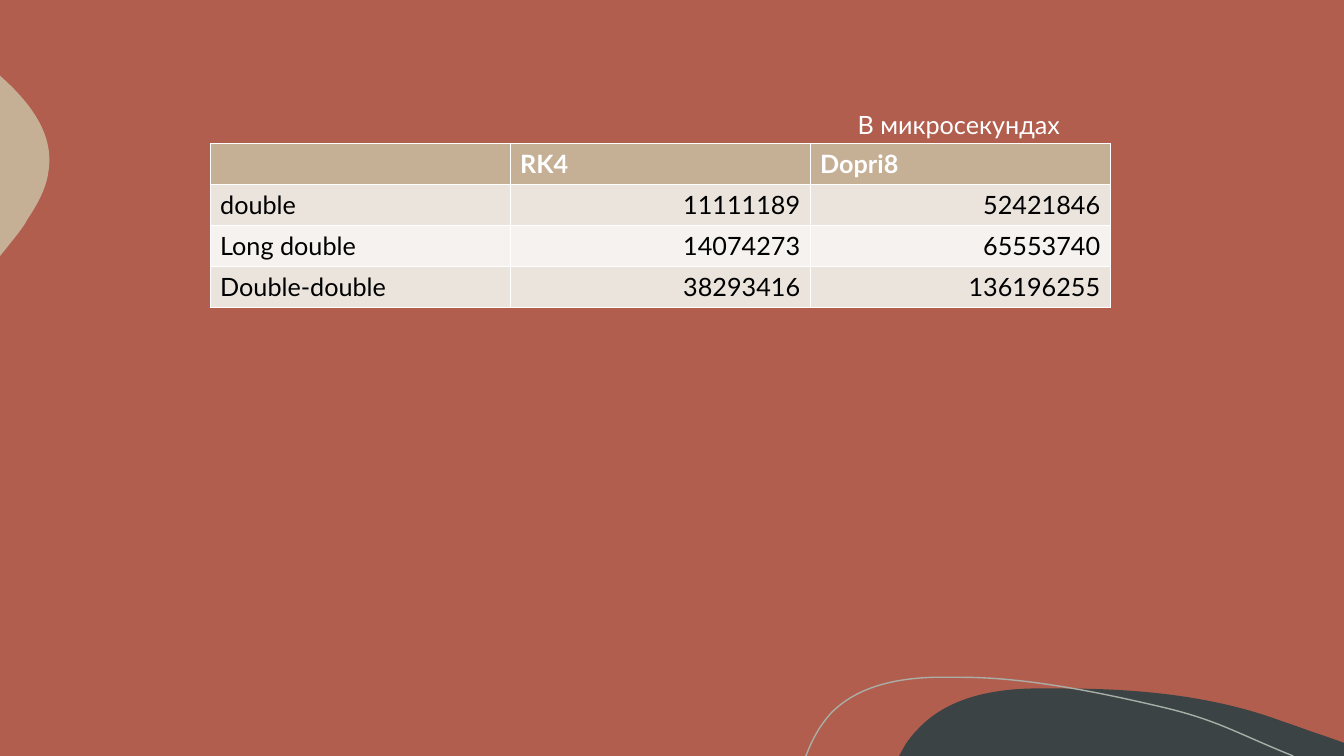
from dataclasses import dataclass
from typing import Optional

from lxml.etree import SubElement
from pptx import Presentation
from pptx.dml.color import RGBColor
from pptx.enum.text import PP_ALIGN as Align
from pptx.oxml.ns import qn
from pptx.util import Pt


@dataclass(frozen=True)
class Theme:
    background: str = "B15E4E"
    dark: str = "3B4345"
    sand: str = "C5B096"
    curve: str = "A9AEA7"
    white: str = "FFFFFF"
    black: str = "000000"
    bands: tuple = ("EAE4DD", "F5F2EF")
    font: str = "Lato"
    text_size: float = 18


@dataclass(frozen=True)
class Outline:
    start: tuple
    segments: tuple
    fill: Optional[str] = None
    line: Optional[str] = None


THEME = Theme()
TABLE_LEFT, TABLE_TOP = 150.1, 102.6
COLUMN_WIDTH, ROW_HEIGHT = 214.3, 29.2

DARK_HILL = Outline(
    (758.9, 491.8),
    (
        ((812.2, 491.8), (866.9, 496.8), (916.6, 515.5)),
        ((925.9, 518.4), (934.6, 522), (943.9, 524.9)),
        ((960, 530.6),),
        ((960, 540),),
        ((642.2, 540),),
        ((646.6, 532.1),),
        ((649.4, 527.8), (652.3, 524.2), (655.9, 520.6)),
        ((676.1, 499), (707, 492.5), (736.6, 491.8)),
        ((743.8, 491.8), (751, 491.8), (758.9, 491.8)),
    ),
    fill=THEME.dark,
)
SAND_BLOB = Outline(
    (0, 54),
    (
        ((0.7, 54.7),),
        ((21.6, 73.4), (38.9, 95.8), (34.6, 122.4)),
        ((33.1, 134.6), (26.6, 146.2), (19.4, 157)),
        ((17.3, 161.3), (12.2, 167.8), (5.8, 175.7)),
        ((0, 182.9),),
    ),
    fill=THEME.sand,
)
HILL_CURVE = Outline(
    (575.3, 540),
    (
        ((576, 539.3),),
        ((580.3, 527.8), (586.1, 517.7), (593.3, 509.8)),
        ((612, 490.3), (640.1, 484.6), (666.7, 483.8)),
        ((687.6, 483.8),),
        ((735.8, 483.8), (792, 496.1), (831.6, 505.4)),
        ((870.5, 514.8), (882.7, 523.4), (923.8, 540)),
    ),
    line=THEME.curve,
)
TIMINGS = (
    ("", "RK4", "Dopri8"),
    ("double", "11111189", "52421846"),
    ("Long double", "14074273", "65553740"),
    ("Double-double", "38293416", "136196255"),
)


def color(value: str) -> RGBColor:
    return RGBColor.from_string(value)


def bend_segments(shape, segments: tuple) -> None:
    lines = list(shape._element.iter(qn("a:lnTo")))
    for line, segment in zip(lines, segments):
        if len(segment) == 3:
            line.tag = qn("a:cubicBezTo")
            for point in list(line):
                line.remove(point)
            for x, y in segment:
                SubElement(
                    line, qn("a:pt"),
                    x=str(Pt(x) - shape.left), y=str(Pt(y) - shape.top),
                )


def draw_outline(slide, outline: Outline) -> None:
    start_x, start_y = outline.start
    builder = slide.shapes.build_freeform(Pt(start_x), Pt(start_y))
    corners = [segment[-1] for segment in outline.segments]
    builder.add_line_segments(
        [(Pt(x), Pt(y)) for x, y in corners], close=outline.fill is not None
    )
    shape = builder.convert_to_shape()
    bend_segments(shape, outline.segments)
    shape.shadow.inherit = False
    if outline.fill:
        shape.fill.solid()
        shape.fill.fore_color.rgb = color(outline.fill)
    else:
        shape.fill.background()
    if outline.line:
        shape.line.color.rgb = color(outline.line)
        shape.line.width = Pt(1)
    else:
        shape.line.fill.background()


def format_paragraph(paragraph, text: str, text_color: str, bold: bool = False) -> None:
    paragraph.text = text
    font = paragraph.font
    font.name, font.size, font.bold = THEME.font, Pt(THEME.text_size), bold
    font.color.rgb = color(text_color)


def draw_table(slide) -> None:
    rows, columns = len(TIMINGS), len(TIMINGS[0])
    table = slide.shapes.add_table(
        rows, columns, Pt(TABLE_LEFT), Pt(TABLE_TOP),
        Pt(COLUMN_WIDTH * columns), Pt(ROW_HEIGHT * rows),
    ).table
    for column in table.columns:
        column.width = Pt(COLUMN_WIDTH)
    for row_index, values in enumerate(TIMINGS):
        table.rows[row_index].height = Pt(ROW_HEIGHT)
        header = row_index == 0
        band = THEME.sand if header else THEME.bands[(row_index - 1) % 2]
        for column_index, value in enumerate(values):
            cell = table.cell(row_index, column_index)
            cell.fill.solid()
            cell.fill.fore_color.rgb = color(band)
            paragraph = cell.text_frame.paragraphs[0]
            format_paragraph(paragraph, value, THEME.white if header else THEME.black, header)
            if column_index and not header:
                paragraph.alignment = Align.RIGHT


def draw_unit_label(slide) -> None:
    frame = slide.shapes.add_textbox(Pt(605.5), Pt(74.2), Pt(216), Pt(29)).text_frame
    frame.word_wrap = True
    format_paragraph(frame.paragraphs[0], "В микросекундах", THEME.white)


def main() -> None:
    presentation = Presentation()
    presentation.slide_width, presentation.slide_height = Pt(960), Pt(540)
    slide = presentation.slides.add_slide(presentation.slide_layouts.get_by_name("Blank"))
    slide.background.fill.solid()
    slide.background.fill.fore_color.rgb = color(THEME.background)
    for outline in (DARK_HILL, SAND_BLOB, HILL_CURVE):
        draw_outline(slide, outline)
    draw_table(slide)
    draw_unit_label(slide)
    presentation.save("out.pptx")


if __name__ == "__main__":
    main()
